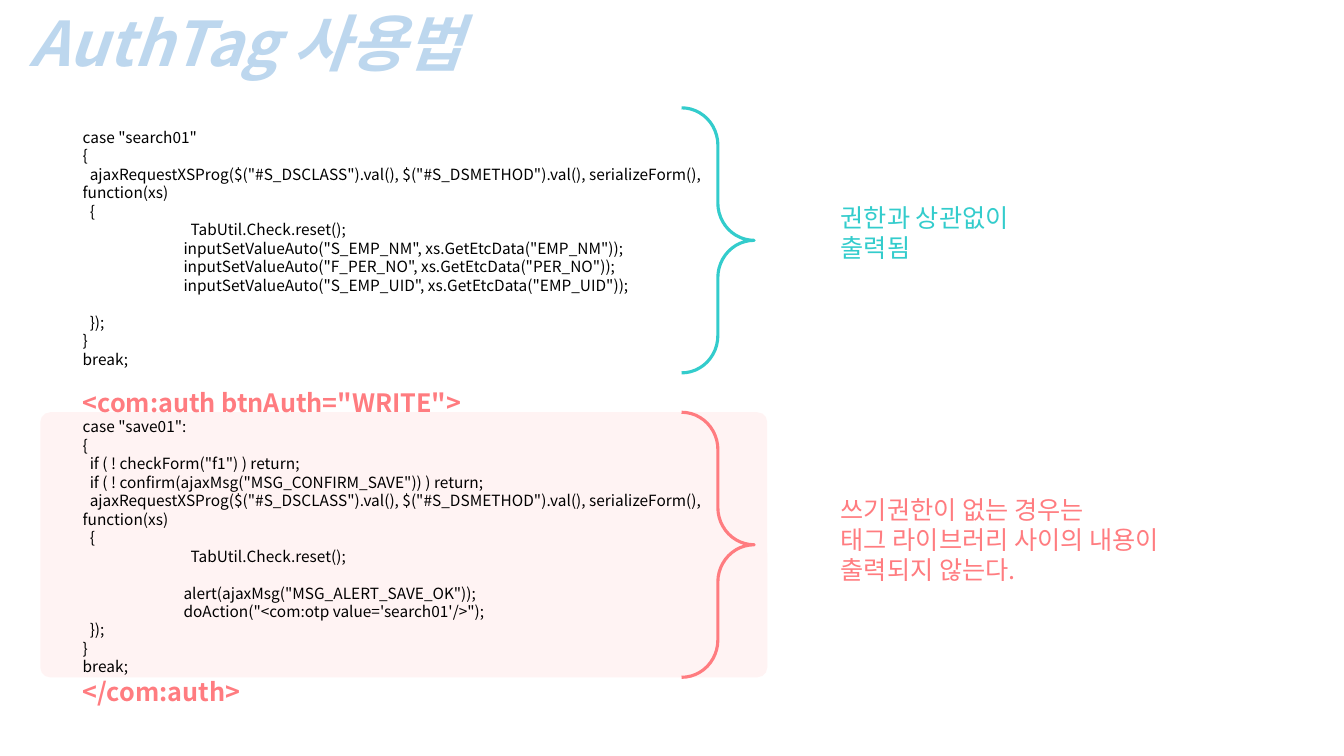
from lxml import etree
from pptx import Presentation
from pptx.dml.color import RGBColor
from pptx.enum.shapes import MSO_SHAPE
from pptx.enum.text import MSO_ANCHOR, MSO_AUTO_SIZE, PP_ALIGN
from pptx.oxml.ns import qn
from pptx.util import Inches, Pt

PANEL, BRACE = MSO_SHAPE.ROUNDED_RECTANGLE, MSO_SHAPE.RIGHT_BRACE
TOP, LEFT, FIXED = MSO_ANCHOR.TOP, PP_ALIGN.LEFT, MSO_AUTO_SIZE.NONE

# Content: each code line is (indent step, text, blank line above)
TITLE = "AuthTag 사용법"
AJAX = ('ajaxRequestXSProg($("#S_DSCLASS").val(), $("#S_DSMETHOD").val(), '
        'serializeForm(), function(xs)')
SEARCH = [
    (0, 'case "search01"', False),
    (0, "{", False),
    (1, AJAX, False),
    (1, "{", False),
    (3, "TabUtil.Check.reset();", False),
    (2, 'inputSetValueAuto("S_EMP_NM", xs.GetEtcData("EMP_NM"));', False),
    (2, 'inputSetValueAuto("F_PER_NO", xs.GetEtcData("PER_NO"));', False),
    (2, 'inputSetValueAuto("S_EMP_UID", xs.GetEtcData("EMP_UID"));', False),
    (1, "});", True),
    (0, "}", False),
    (0, "break;", False),
]
OPEN = [(0, '<com:auth btnAuth="WRITE">', True)]
SAVE = [
    (0, 'case "save01":', False),
    (0, "{", False),
    (1, 'if ( ! checkForm("f1") ) return;', False),
    (1, 'if ( ! confirm(ajaxMsg("MSG_CONFIRM_SAVE")) ) return;', False),
    (1, AJAX, False),
    (1, "{", False),
    (3, "TabUtil.Check.reset();", False),
    (2, 'alert(ajaxMsg("MSG_ALERT_SAVE_OK"));', True),
    (2, "doAction(\"<com:otp value='search01'/>\");", False),
    (1, "});", False),
    (0, "}", False),
    (0, "break;", False),
]
CLOSE = [(0, "</com:auth>", False)]
CODE = [(SEARCH, "code"), (OPEN, "tag"), (SAVE, "code"), (CLOSE, "tag")]
NOTES = [  # style, brace top, text box, lines
    ("tag_note", 4.09, (8.24, 4.85, 3.75, 1.01),
     ["쓰기권한이 없는 경우는", "태그 라이브러리 사이의 내용이", "출력되지 않는다."]),
    ("free_note", 1.07, (8.24, 1.96, 2.06, 0.71),
     ["권한과 상관없이", "출력됨"]),
]

# Theme
FONT = "Noto Sans CJK KR"
PINK, TEAL = "FF7C80", "33CCCC"
THEME = {
    "title": {"size": 44, "color": "BDD7EE", "bold": True, "italic": True},
    "code": {"size": 11, "color": "000000", "bold": False, "italic": False},
    "tag": {"size": 18, "color": PINK, "bold": True, "italic": False},
    "tag_note": {"size": 18, "color": PINK, "bold": False, "italic": False},
    "free_note": {"size": 18, "color": TEAL, "bold": False, "italic": False},
}
PALE = "FFF3F3"
STEPS = (0, 0.07, 1, 1.07)
PITCH = 1.2
BAND = 2.63


def place(shape, box):
    for key, val in zip(("left", "top", "width", "height"), box):
        setattr(shape, key, Inches(val))


def frame(shape):
    text = shape.text_frame
    form = {"word_wrap": True, "auto_size": FIXED, "vertical_anchor": TOP,
            "margin_left": Inches(0.1), "margin_right": Inches(0.1),
            "margin_top": Inches(0.05), "margin_bottom": Inches(0.05)}
    for key, val in form.items():
        setattr(text, key, val)
    return text


def write(text, rows):
    """Fill a text frame with (step, line, gap, style) rows."""
    for num, (step, line, gap, style) in enumerate(rows):
        look = THEME[style]
        para = text.add_paragraph() if num else text.paragraphs[0]
        blank = THEME["code"]["size"] * PITCH if gap else 0
        form = {"alignment": LEFT, "line_spacing": Pt(look["size"] * PITCH),
                "space_before": Pt(blank), "space_after": Pt(0)}
        for key, val in form.items():
            setattr(para, key, val)
        # First-line indent, no bullet
        props = para._p.get_or_add_pPr()
        props.set("marL", "0")
        props.set("indent", str(Inches(STEPS[step])))
        etree.SubElement(props, qn("a:buNone"))
        run = para.add_run()
        run.text = line
        font = run.font
        form = {"name": FONT, "size": Pt(look["size"]),
                "bold": look["bold"], "italic": look["italic"]}
        for key, val in form.items():
            setattr(font, key, val)
        font.color.rgb = RGBColor.from_string(look["color"])
        east = etree.SubElement(run._r.get_or_add_rPr(), qn("a:ea"))
        east.set("typeface", FONT)


def draw(slide, kind, box, adj):
    shape = slide.shapes.add_shape(kind, *map(Inches, box))
    shape.shadow.inherit = False
    for num, val in enumerate(adj):
        shape.adjustments[num] = val
    return shape


def main():
    deck = Presentation()
    deck.slide_width, deck.slide_height = Inches(13.33), Inches(7.5)
    slide = deck.slides.add_slide(deck.slide_layouts[1])
    title, body = slide.placeholders

    # Panel behind the protected code
    panel = draw(slide, PANEL, (0.4, 4.09, 7.21, BAND), (0.037,))
    panel.fill.solid()
    panel.fill.fore_color.rgb = RGBColor.from_string(PALE)
    panel.line.fill.background()
    title._element.addprevious(panel._element)

    # Title and code
    place(title, (0.19, 0, 4.97, 0.84))
    write(frame(title), [(0, TITLE, False, "title")])
    place(body, (0.72, 1.22, 6.67, 5.89))
    write(frame(body), [(*row, style) for part, style in CODE for row in part])

    # Braces with their notes
    for style, top, box, lines in NOTES:
        brace = draw(slide, BRACE, (6.76, top, 0.72, BAND), (0.514, 0.5))
        brace.fill.background()
        brace.line.color.rgb = RGBColor.from_string(THEME[style]["color"])
        brace.line.width = Pt(2.25)
        note = slide.shapes.add_textbox(*map(Inches, box))
        write(frame(note), [(0, line, False, style) for line in lines])

    deck.save("out.pptx")


if __name__ == "__main__":
    main()
